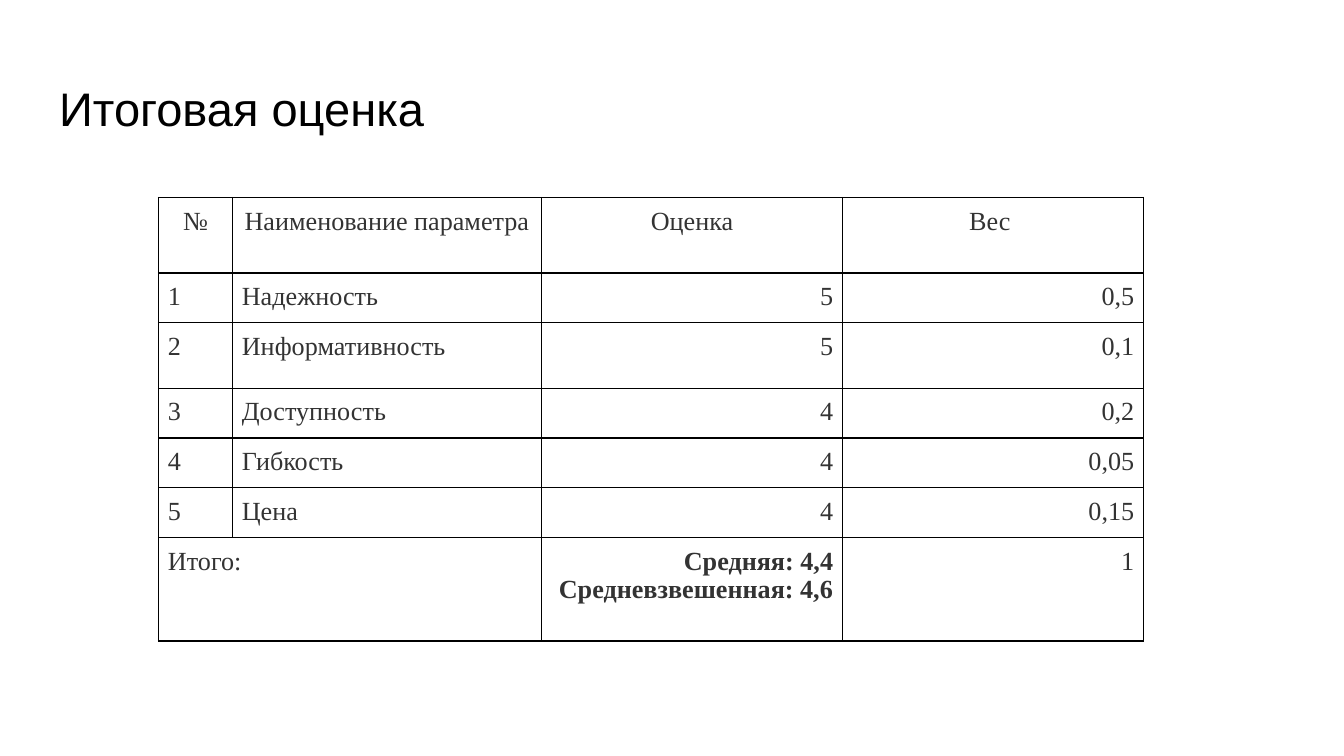
"""Build the final assessment slide with its weighted score table."""
from lxml import etree
from pptx import Presentation
from pptx.dml.color import RGBColor
from pptx.enum import text
from pptx.oxml import ns
from pptx.util import Inches, Pt

BLACK = RGBColor(0x00, 0x00, 0x00)
GRAY = RGBColor(0x33, 0x33, 0x33)
LEFT, CENTER, RIGHT = text.PP_ALIGN.LEFT, text.PP_ALIGN.CENTER, text.PP_ALIGN.RIGHT

SCORES = [
    ["№", "Наименование параметра ", "Оценка", "Вес "],
    ["1", "Надежность", "5", "0,5"],
    ["2", "Информативность", "5", "0,1"],
    ["3", "Доступность", "4", "0,2"],
    ["4", "Гибкость", "4", "0,05"],
    ["5", "Цена", "4", "0,15"],
    ["Итого:", "", "Средняя: 4,4\nСредневзвешенная: 4,6", "1"],
]
WIDTHS = [0.55, 2.3, 2.24, 2.24]
HEIGHTS = [0.56, 0.37, 0.49, 0.37, 0.37, 0.37, 0.77]
TOTAL = len(SCORES) - 1


def set_format(target, values):
    for name, value in values.items():
        setattr(target, name, value)


def add_borders(cell):
    properties = cell._tc.get_or_add_tcPr()
    for side in ("lnL", "lnR", "lnT", "lnB"):
        border = etree.SubElement(properties, ns.qn(f"a:{side}"), w=str(Pt(1)))
        paint = etree.SubElement(border, ns.qn("a:solidFill"))
        etree.SubElement(paint, ns.qn("a:srgbClr"), val=str(BLACK))


deck = Presentation()
set_format(deck, {"slide_width": Inches(10), "slide_height": Inches(10) * 9 // 16})
slide = deck.slides.add_slide(deck.slide_layouts[5])

heading = slide.shapes.title
set_format(heading, {"left": Inches(0.34), "top": Inches(0.49),
                     "width": Inches(9.32), "height": Inches(0.63)})
heading.text_frame.text = "Итоговая оценка"
margins = ("margin_left", "margin_right", "margin_top", "margin_bottom")
set_format(heading.text_frame, dict.fromkeys(margins, Inches(0.1)) | {
    "word_wrap": True, "auto_size": text.MSO_AUTO_SIZE.NONE,
    "vertical_anchor": text.MSO_ANCHOR.TOP})
heading_line = heading.text_frame.paragraphs[0]
heading_line.alignment = LEFT
set_format(heading_line.runs[0].font, {"name": "Arial", "size": Pt(25.2)})
heading_line.runs[0].font.color.rgb = BLACK

assessment = slide.shapes.add_table(
    len(HEIGHTS), len(WIDTHS), Inches(1.18), Inches(1.47),
    Inches(sum(WIDTHS)), Inches(sum(HEIGHTS))).table
set_format(assessment, {"first_row": False, "horz_banding": False})
for column, width in zip(assessment.columns, WIDTHS):
    column.width = Inches(width)
for row, height in zip(assessment.rows, HEIGHTS):
    row.height = Inches(height)
assessment.cell(TOTAL, 0).merge(assessment.cell(TOTAL, 1))

for r, values in enumerate(SCORES):
    for c, value in enumerate(values):
        cell = assessment.cell(r, c)
        add_borders(cell)
        cell.fill.background()
        set_format(cell, dict.fromkeys(margins, Inches(0.07)))
        if cell.is_spanned:
            continue
        cell.text = value
        for line in cell.text_frame.paragraphs:
            line.alignment = CENTER if r == 0 else RIGHT if c >= 2 else LEFT
            font = line.runs[0].font
            set_format(font, {"name": "Times New Roman", "size": Pt(14),
                              "bold": r == TOTAL and c == 2})
            font.color.rgb = GRAY

deck.save("out.pptx")
